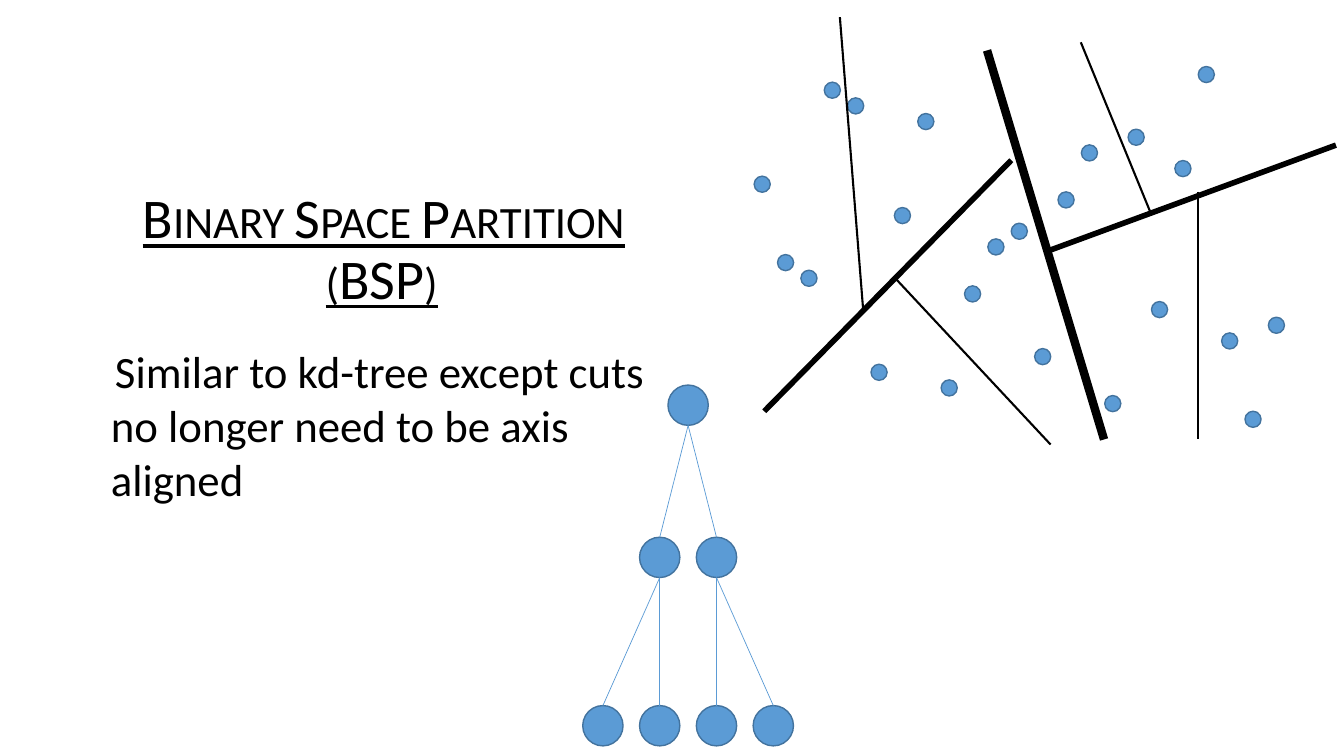
from lxml import etree
from pptx import Presentation
from pptx.dml.color import RGBColor
from pptx.enum import shapes, text
from pptx.oxml import ns
from pptx.util import Inches, Pt

BLUE, OUTLINE, BLACK = "5B9BD5", "43739E", "000000"

DOT_SIZE, DOT_LEFT, DOT_TOP = 0.16, 7.48, 0.66
DOT_STEP_X, DOT_STEP_Y = 5.1 / 22, 3.42 / 22
DOT_ROWS = [7, 12, 13, 1, 2, 19, 9, 3, 20, 14, 11, 10,
            18, 8, 5, 21, 4, 15, 6, 0, 17, 22, 16]

CUTS = [
    ((10.72, 0.42), (11.42, 2.13), 1.5),
    ((9.79, 0.5), (10.95, 4.36), 6),
    ((13.25, 1.44), (10.42, 2.48), 4),
    ((11.88, 1.9), (11.88, 4.36), 1.5),
    ((8.33, 0.17), (8.56, 3.06), 1.5),
    ((8.87, 2.75), (10.42, 4.41), 1.5),
    ((10.03, 1.59), (7.58, 4.08), 4),
]

NODE_SIZE, TREE_LEFT, TREE_STEP = 0.4, 5.78, 1.69 / 3
TREE_NODES = {
    "root": (1.5, 3.82),
    "left": (1, 5.33), "right": (2, 5.33),
    "leaf 1": (0, 7), "leaf 2": (1, 7), "leaf 3": (2, 7), "leaf 4": (3, 7),
}
TREE_EDGES = [("root", "left"), ("root", "right"),
              ("left", "leaf 1"), ("left", "leaf 2"),
              ("right", "leaf 3"), ("right", "leaf 4")]


def color(value):
    return RGBColor.from_string(value)


def apply(target, values):
    for name, value in values.items():
        setattr(target, name, value)


def add_circle(parent, left, top, size):
    circle = parent.add_shape(shapes.MSO_SHAPE.OVAL, Inches(left), Inches(top),
                              Inches(size), Inches(size))
    circle.shadow.inherit = False
    circle.fill.solid()
    circle.fill.fore_color.rgb = color(BLUE)
    circle.line.color.rgb = color(OUTLINE)
    circle.line.width = Pt(1)
    return circle


def add_line(page, start, end, line_color, width):
    line = page.shapes.add_connector(shapes.MSO_CONNECTOR.STRAIGHT,
                                     *(Inches(value) for value in start + end))
    line.line.color.rgb = color(line_color)
    line.line.width = Pt(width)
    etree.SubElement(line._element.spPr, ns.qn("a:effectLst"))
    return line


def add_paragraph(para, wording, para_format, font_format, small_caps=False):
    properties = para._p.get_or_add_pPr()
    properties.set("marL", "0")
    properties.set("indent", str(Inches(0.04)))
    apply(para, para_format)
    etree.SubElement(properties, ns.qn("a:buNone"))
    span = para.add_run()
    span.text = wording
    apply(span.font, {"name": "Calibri", **font_format})
    span.font.color.rgb = color(BLACK)
    if small_caps:
        span._r.get_or_add_rPr().set("cap", "small")


def add_description(page):
    box = page.placeholders[1]
    apply(box, {"left": Inches(1), "top": Inches(0.91),
                "width": Inches(5.57), "height": Inches(5.69)})
    frame = box.text_frame
    apply(frame, {"word_wrap": True, "auto_size": text.MSO_AUTO_SIZE.NONE,
                  "vertical_anchor": text.MSO_ANCHOR.MIDDLE,
                  "margin_bottom": Inches(0.66)})
    add_paragraph(frame.paragraphs[0], "Binary Space Partition (BSP)",
                  {"alignment": text.PP_ALIGN.CENTER, "line_spacing": 0.9,
                   "space_before": Pt(0), "space_after": Pt(8.4)},
                  {"size": Pt(40), "underline": True}, small_caps=True)
    add_paragraph(frame.add_paragraph(),
                  "Similar to kd-tree except cuts no longer need to be axis aligned",
                  {"level": 1, "alignment": text.PP_ALIGN.LEFT, "line_spacing": 1.0,
                   "space_before": Pt(15), "space_after": Pt(0)},
                  {"size": Pt(32)})


def add_points(page):
    group = page.shapes.add_group_shape()
    for column, row in enumerate(DOT_ROWS):
        add_circle(group.shapes, DOT_LEFT + column * DOT_STEP_X,
                   DOT_TOP + row * DOT_STEP_Y, DOT_SIZE)


def add_tree(page):
    nodes = {name: add_circle(page.shapes, TREE_LEFT + column * TREE_STEP, top, NODE_SIZE)
             for name, (column, top) in TREE_NODES.items()}
    for parent, child in TREE_EDGES:
        column, top = TREE_NODES[parent]
        start = (TREE_LEFT + column * TREE_STEP + NODE_SIZE / 2, top + NODE_SIZE)
        edge = add_line(page, start, start, BLUE, 0.5)
        edge.end_connect(nodes[child], 0)


def main():
    deck = Presentation()
    deck.slide_width, deck.slide_height = Inches(13.33), Inches(7.5)
    page = deck.slides.add_slide(deck.slide_layouts[1])
    title = page.shapes.title._element
    title.getparent().remove(title)
    add_description(page)
    add_points(page)
    for start, end, width in CUTS:
        add_line(page, start, end, BLACK, width)
    add_tree(page)
    deck.save("out.pptx")


if __name__ == "__main__":
    main()
